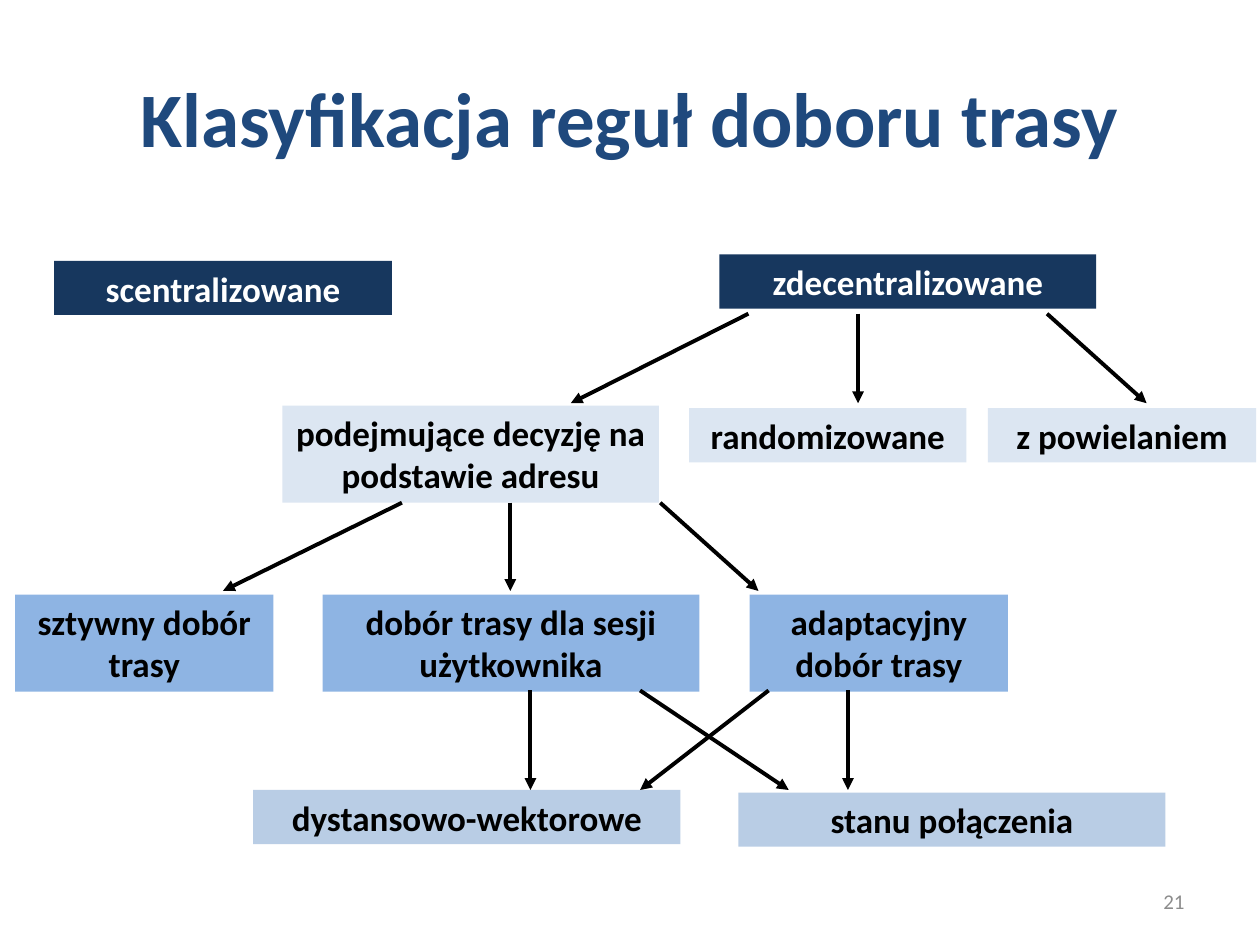
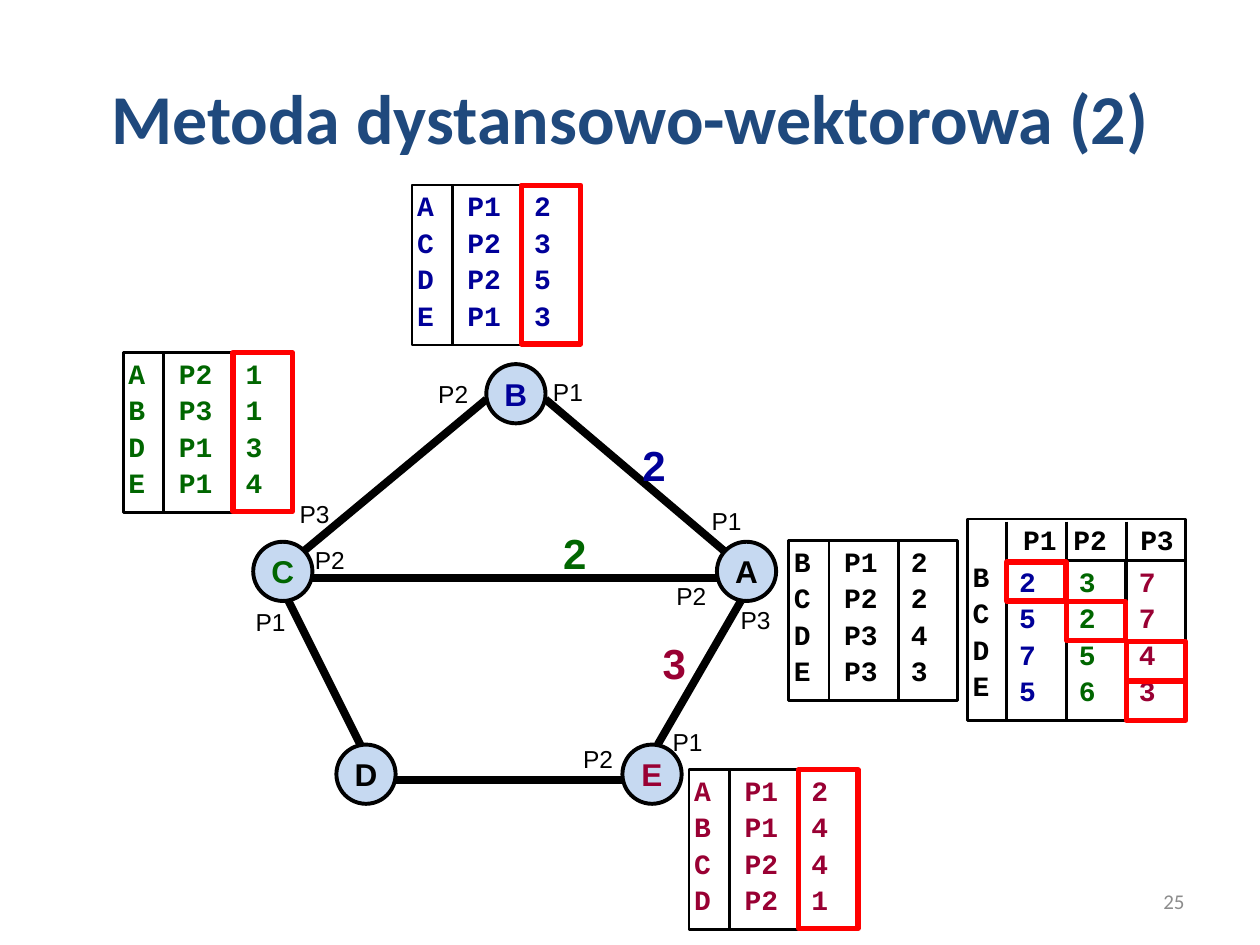
"""Two slides on routing rules: a classification tree and a distance-vector network."""
from lxml.etree import SubElement
from pptx import Presentation
from pptx.dml.color import RGBColor
from pptx.enum.shapes import MSO_CONNECTOR, MSO_SHAPE
from pptx.enum.text import MSO_ANCHOR, PP_ALIGN
from pptx.oxml.ns import qn
from pptx.util import Inches, Pt

C = {
    "title": "1F497D", "number": "8C8C8C", "black": "000000", "white": "FFFFFF",
    "navy": "17375E", "pale": "DCE6F2", "sky": "8EB4E3", "steel": "B9CDE5",
    "node": "C6D9F1", "blue": "000099", "green": "006600", "wine": "990033",
    "red": "FF0000",
}


def line(s, x1, y1, x2, y2, weight, arrow=False):
    cn = s.shapes.add_connector(
        MSO_CONNECTOR.STRAIGHT, Inches(x1), Inches(y1), Inches(x2), Inches(y2))
    cn.line.color.rgb = RGBColor.from_string(C["black"])
    cn.line.width = Pt(weight)
    if arrow:
        SubElement(cn.line._get_or_add_ln(), qn("a:tailEnd"), type="triangle")
    SubElement(cn._element.spPr, qn("a:effectLst"))


def box(s, at, rows=(), color="black", size=16, font="Courier New", bold=True,
        align=PP_ALIGN.LEFT, anchor=MSO_ANCHOR.TOP, kind=None, fill=None, edge=None,
        weight=1.5, wrap=True, ins=(0.1, 0.05), spacing=None, before=0, tabs=()):
    at = [Inches(v) for v in at]
    if kind is None:
        sp = s.shapes.add_textbox(*at)
    else:
        sp = s.shapes.add_shape(kind, *at)
        sp.shadow.inherit = False
        if fill:
            sp.fill.solid()
            sp.fill.fore_color.rgb = RGBColor.from_string(C[fill])
        else:
            sp.fill.background()
        if edge:
            sp.line.color.rgb = RGBColor.from_string(C[edge])
            sp.line.width = Pt(weight)
        else:
            sp.line.fill.background()
    tf = sp.text_frame
    tf.word_wrap = wrap
    tf.vertical_anchor = anchor
    tf.margin_left = tf.margin_right = Inches(ins[0])
    tf.margin_top = tf.margin_bottom = Inches(ins[1])
    for i, row in enumerate(rows):
        p = tf.add_paragraph() if i else tf.paragraphs[0]
        p.alignment = align
        if spacing:
            p.line_spacing = spacing
        if i:
            p.space_before = Pt(before)
        if tabs:
            row = row.replace(" ", "\t")
            tab_list = SubElement(p._p.get_or_add_pPr(), qn("a:tabLst"))
            for pos in tabs:
                SubElement(tab_list, qn("a:tab"), pos=str(Inches(pos)), algn="l")
        r = p.add_run()
        r.text = row
        r.font.name, r.font.size, r.font.bold = font, Pt(size), bold
        r.font.color.rgb = RGBColor.from_string(C[color])


prs = Presentation()
prs.slide_width, prs.slide_height = Inches(10), Inches(7.5)

slides = []
for title, size, number in [("Klasyfikacja reguł doboru trasy", 44, "21"),
                            ("Metoda dystansowo-wektorowa (2)", 40, "25")]:
    s = prs.slides.add_slide(prs.slide_layouts.get_by_name("Title Only"))
    sp = s.shapes.title
    sp.left, sp.top, sp.width, sp.height = [Inches(v) for v in (0.5, 0.3, 9, 1.25)]
    tf = sp.text_frame
    tf.vertical_anchor = MSO_ANCHOR.MIDDLE
    p = tf.paragraphs[0]
    p.alignment = PP_ALIGN.CENTER
    r = p.add_run()
    r.text = title
    r.font.name, r.font.size, r.font.bold = "Calibri", Pt(size), True
    r.font.color.rgb = RGBColor.from_string(C["title"])
    box(s, (7.17, 6.95, 2.33, 0.4), [number], "number", 12, "Calibri", False,
        PP_ALIGN.RIGHT, MSO_ANCHOR.MIDDLE)
    slides.append(s)
tree, network = slides

for text, x, y, w, h, fill in [
    ("scentralizowane", 0.43, 2.07, 2.68, 0.43, "navy"),
    ("zdecentralizowane", 5.71, 2.02, 2.99, 0.43, "navy"),
    ("podejmujące decyzję na podstawie adresu", 2.24, 3.22, 2.99, 0.77, "pale"),
    ("randomizowane", 5.47, 3.24, 2.2, 0.43, "pale"),
    ("z powielaniem", 7.84, 3.24, 2.13, 0.43, "pale"),
    ("sztywny dobór trasy", 0.12, 4.72, 2.05, 0.77, "sky"),
    ("dobór trasy dla sesji użytkownika", 2.56, 4.72, 2.99, 0.77, "sky"),
    ("adaptacyjny dobór trasy", 5.95, 4.72, 2.05, 0.77, "sky"),
    ("dystansowo-wektorowe", 2.01, 6.27, 3.39, 0.43, "steel"),
    ("stanu połączenia", 5.86, 6.29, 3.39, 0.43, "steel"),
]:
    box(tree, (x, y, w, h), [text], "white" if fill == "navy" else "black", 20,
        "Calibri", align=PP_ALIGN.CENTER, kind=MSO_SHAPE.RECTANGLE, fill=fill)

for y1, y2, arrows in [
    (2.49, 3.2, [(5.94, 4.53), (6.81, 6.81), (8.31, 9.1)]),
    (3.99, 4.69, [(3.19, 1.77), (4.05, 4.05), (5.24, 6.02)]),
    (5.48, 6.27, [(4.21, 4.21), (5.08, 6.26), (6.73, 6.73), (6.1, 5.08)]),
]:
    for x1, x2 in arrows:
        line(tree, x1, y1, x2, y2, 2.25, arrow=True)

cells = dict(kind=MSO_SHAPE.RECTANGLE, edge="black", spacing=0.8, before=5.5)
routing = dict(cells, ins=(0.04, 0.08))
mark = dict(kind=MSO_SHAPE.RECTANGLE, edge="red", weight=3)
col_w = 0.47

for link in [(2.38, 4.4, 3.86, 3.17), (4.33, 3.17, 5.78, 4.4), (2.29, 4.77, 2.86, 5.91),
             (4.94, 6.19, 3.14, 6.19), (2.48, 4.59, 5.69, 4.59), (5.88, 4.77, 5.22, 5.91)]:
    line(network, *link, 4.5)

for name, x, y, color in [("E", 4.94, 5.91, "wine"), ("B", 3.86, 2.89, "blue"),
                          ("C", 2.01, 4.3, "green"), ("D", 2.67, 5.91, "black"),
                          ("A", 5.69, 4.3, "black")]:
    box(network, (x, y, 0.47, 0.47), [name], color, 18, "Arial", align=PP_ALIGN.CENTER,
        anchor=MSO_ANCHOR.MIDDLE, kind=MSO_SHAPE.OVAL, fill="node", edge="black",
        weight=2.25, wrap=False)

for port, places in {
    "P1": [(5.55, 3.97), (4.29, 2.94), (1.93, 4.77), (5.24, 5.72)],
    "P2": [(5.27, 4.56), (3.38, 2.96), (4.53, 5.86), (2.4, 4.28)],
    "P3": [(5.78, 4.75), (2.28, 3.91)],
}.items():
    for x, y in places:
        box(network, (x, y, 0.44, 0.33), [port], size=14, font="Arial", bold=False,
            wrap=False)

for cost, x, y, color in [("2", 5, 3.44, "blue"), ("2", 4.37, 4.14, "green"),
                          ("3", 5.16, 5.01, "wine")]:
    box(network, (x, y, 0.39, 0.5), [cost], color, 24, "Arial")

for x, y, color, rows in [
    (0.98, 2.8, "green", ["A P2 1", "B P3 1", "D P1 3", "E P1 4"]),
    (3.27, 1.47, "blue", ["A P1 2", "C P2 3", "D P2 5", "E P1 3"]),
    (5.47, 6.11, "wine", ["A P1 2", "B P1 4", "C P2 4", "D P2 1"]),
    (6.26, 4.29, "black", ["B P1 2", "C P2 2", "D P3 4", "E P3 3"]),
]:
    box(network, (x, y, 1.34, 1.27), rows, color, tabs=(0.4, 0.93), **routing)
    for dx in (0.32, 0.87):
        line(network, x + dx, y, x + dx, y + 1.26, 1.5)
    if color != "black":
        box(network, (x + 0.87, y, col_w, 1.26), **mark)

box(network, (7.68, 4.12, 1.73, 1.6), [" P1 P2 P3", "B", "C", "D", "E"],
    tabs=(0.4, 0.8, 1.33), **routing)
columns = [("2575", "blue"), ("3256", "green"), ("7743", "wine")]
xs = [7.99 + i * 0.475 for i in range(3)]
for x, (values, color) in zip(xs, columns):
    line(network, x, 4.14, x, 5.72, 1.5)
    box(network, (x, 4.45, col_w, 1.27), values, color, fill="white",
        ins=(0.1, 0.08), **cells)
for row, col in enumerate([0, 1, 2, 2]):
    box(network, (xs[col], 4.46 + row * 0.316, col_w, 0.31), **mark)

prs.save("out.pptx")
